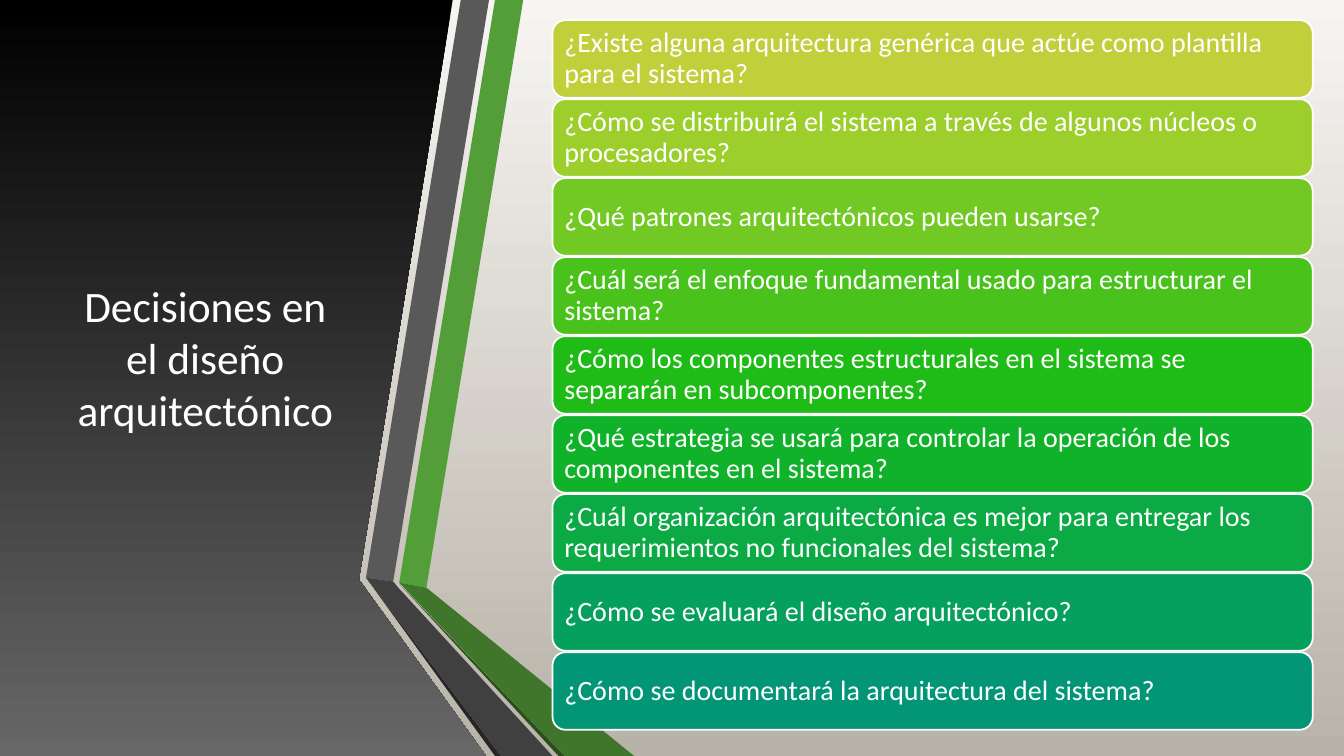
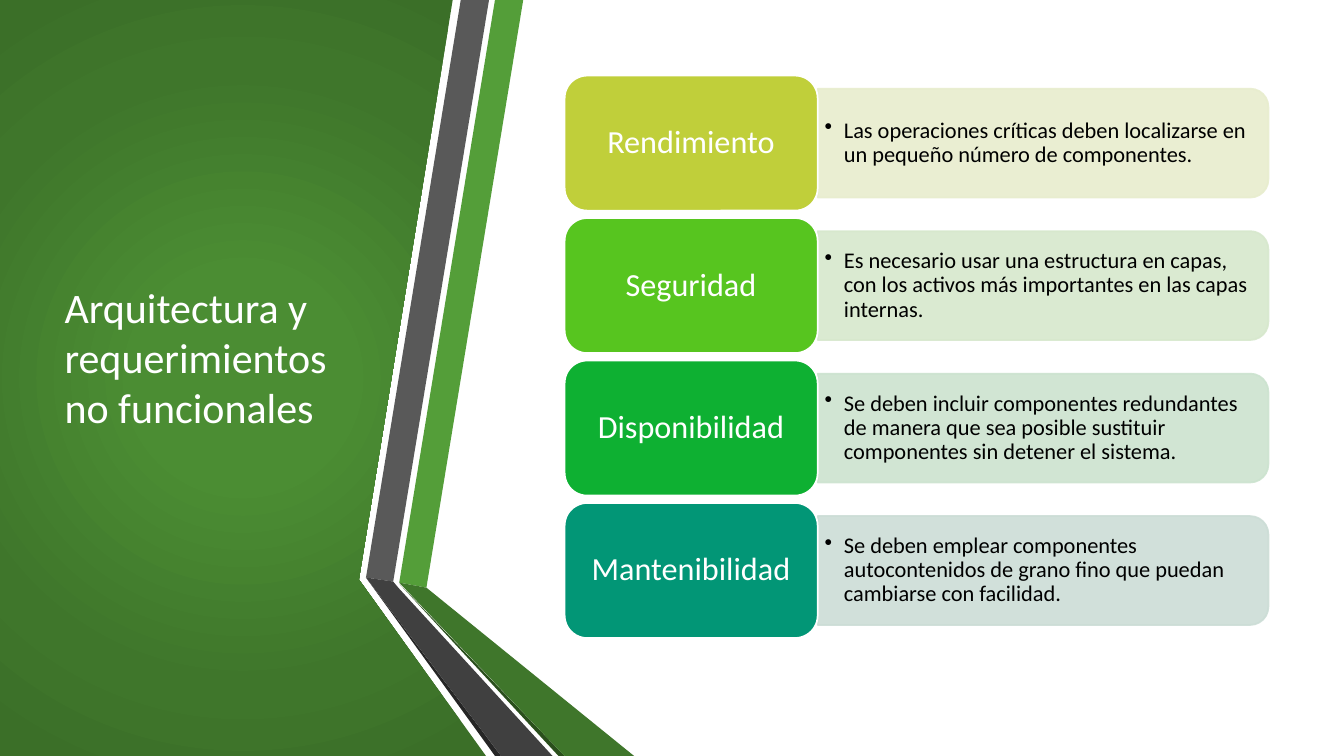
from lxml import etree
from pptx import Presentation
from pptx.dml.color import RGBColor
from pptx.enum import shapes, text
from pptx.oxml import ns
from pptx.util import Inches, Pt

FONT = "Calibri"
COLORS = {
    "white": "FFFFFF", "black": "000000", "panel_gray": "676767",
    "paper_top": "F7F5F2", "paper_bottom": "B8B3A8",
    "green": "549E39", "green_dark": "3F762B", "green_shade": "2A4F1C",
    "gray": "595959", "gray_dark": "404040", "gray_shade": "262626",
}
PANEL_OUTLINE = [(0, 0), (4.49, 0), (3.56, 5.75), (4.82, 7.5), (0, 7.5)]
PANEL_GLOW = [(0, "4B8D33"), (23, "4B8D33"), (69, "3F762B"), (97, "3B6F28")]
BANDS = [
    ("green", [(3.96, 5.78), (4.23, 5.83), (5.19, 0), (4.91, 0)]),
    ("gray", [(4.85, 0), (4.57, 0), (3.63, 5.73), (3.9, 5.77)]),
    ("gray_shade", [(3.63, 5.73), (4.91, 7.5), (4.97, 7.5)]),
    ("green_shade", [(3.96, 5.79), (5.54, 7.5), (5.6, 7.5)]),
    ("green_dark", [(3.96, 5.78), (5.6, 7.5), (6.29, 7.5), (4.23, 5.83)]),
    ("gray_dark", [(5.48, 7.5), (3.95, 5.83), (3.9, 5.77), (3.63, 5.73), (4.97, 7.5)]),
]
QUESTIONS = [
    ("C0CF3A", "¿Existe alguna arquitectura genérica que actúe como plantilla para el sistema?"),
    ("9CCF2B", "¿Cómo se distribuirá el sistema a través de algunos núcleos o procesadores?"),
    ("73C924", "¿Qué patrones arquitectónicos pueden usarse?"),
    ("49C21C", "¿Cuál será el enfoque fundamental usado para estructurar el sistema?"),
    ("1FBB16", "¿Cómo los componentes estructurales en el sistema se separarán en subcomponentes?"),
    ("10B229", "¿Qué estrategia se usará para controlar la operación de los componentes en el sistema?"),
    ("0BAA44", "¿Cuál organización arquitectónica es mejor para entregar los requerimientos "
               "no funcionales del sistema?"),
    ("06A05E", "¿Cómo se evaluará el diseño arquitectónico?"),
    ("029676", "¿Cómo se documentará la arquitectura del sistema?"),
]
REQUIREMENTS = [
    ("C0CF3A", "E8EDCE", "Rendimiento",
     "Las operaciones críticas deben localizarse en un pequeño número de componentes."),
    ("57C51F", "D7E8CD", "Seguridad",
     "Es necesario usar una estructura en capas, con los activos más importantes "
     "en las capas internas."),
    ("0EB032", "CCE3CF", "Disponibilidad",
     "Se deben incluir componentes redundantes de manera que sea posible sustituir "
     "componentes sin detener el sistema."),
    ("029676", "CCDDD6", "Mantenibilidad",
     "Se deben emplear componentes autocontenidos de grano fino que puedan cambiarse "
     "con facilidad."),
]


def rgb(color):
    return RGBColor.from_string(COLORS.get(color, color))


def fill_solid(fill, color):
    fill.solid()
    fill.fore_color.rgb = rgb(color)


def fill_vertical(fill, top, bottom):
    fill.gradient()
    fill.gradient_angle = 270
    for stop, color, position in zip(fill.gradient_stops, (top, bottom), (0, 1)):
        stop.color.rgb = rgb(color)
        stop.position = position


def fill_radial(shape, stops):
    """Fill with a circular gradient that runs outward from the centre."""
    shape.fill.gradient()
    gradient = shape.element.spPr.find(ns.qn("a:gradFill"))
    for child in list(gradient):
        gradient.remove(child)
    stop_list = etree.SubElement(gradient, ns.qn("a:gsLst"))
    for position, color in stops:
        stop = etree.SubElement(stop_list, ns.qn("a:gs"), pos=str(position * 1000))
        etree.SubElement(stop, ns.qn("a:srgbClr"), val=color)
    circle = etree.SubElement(gradient, ns.qn("a:path"), path="circle")
    etree.SubElement(circle, ns.qn("a:fillToRect"),
                     {side: "50000" for side in "ltrb"})


def set_line(shape, color):
    shape.line.width = Pt(1.25)
    shape.line.color.rgb = rgb(color)


def write_text(shape, content, size, color="white", align="LEFT", insets=(0.1, 0.05), spacing=0.9):
    frame = shape.text_frame
    frame.text = content
    horizontal, vertical = map(Inches, insets)
    frame_format = {
        "word_wrap": True, "auto_size": text.MSO_AUTO_SIZE.NONE,
        "vertical_anchor": text.MSO_ANCHOR.MIDDLE,
        "margin_left": horizontal, "margin_right": horizontal,
        "margin_top": vertical, "margin_bottom": vertical,
    }
    for name, value in frame_format.items():
        setattr(frame, name, value)
    paragraph = frame.paragraphs[0]
    paragraph.alignment = text.PP_ALIGN[align]
    paragraph.line_spacing = spacing
    font = paragraph.runs[0].font
    for name, value in {"name": FONT, "size": Pt(size), "bold": False}.items():
        setattr(font, name, value)
    font.color.rgb = rgb(color)
    return paragraph


def add_bullet(paragraph, indent):
    properties = paragraph._p.get_or_add_pPr()
    properties.set("marL", str(Inches(indent)))
    properties.set("indent", str(-Inches(indent)))
    etree.SubElement(properties, ns.qn("a:buChar"), char="•")


def add_outline(slide, points):
    corners = [(Inches(x), Inches(y)) for x, y in points]
    builder = slide.shapes.build_freeform(*corners[0])
    builder.add_line_segments(corners[1:], close=True)
    shape = builder.convert_to_shape()
    shape.shadow.inherit = False
    shape.line.fill.background()
    return shape


def add_box(slide, kind, box, color, line_color):
    shape = slide.shapes.add_shape(kind, *map(Inches, box))
    shape.shadow.inherit = False
    fill_solid(shape.fill, color)
    set_line(shape, line_color)
    return shape


def add_panel_slide(presentation, title, box, size, align):
    """Add a slide with the side panel, its title and the bands; return slide and panel."""
    slide = presentation.slides.add_slide(presentation.slide_layouts[5])
    panel = add_outline(slide, PANEL_OUTLINE)
    heading = slide.shapes.title
    heading.left, heading.top, heading.width, heading.height = map(Inches, box)
    write_text(heading, title, size, align=align, spacing=1.0)
    slide.shapes.element.append(heading.element)
    for color, points in BANDS:
        fill_solid(add_outline(slide, points).fill, color)
    return slide, panel


def add_question_list(slide, box):
    left, top, width, height = box
    row_height = 0.77
    step = (height - row_height) / (len(QUESTIONS) - 1)
    for row, (color, question) in enumerate(QUESTIONS):
        shape = add_box(slide, shapes.MSO_SHAPE.ROUNDED_RECTANGLE,
                        (left, top + row * step, width, row_height), color, "white")
        write_text(shape, question, 20, insets=(0.08, 0.08))


def add_detail_bar(slide, box, color, detail):
    """Add a bar rounded on its right side, with a bulleted text on it."""
    left, top, width, height = box
    turned = (left + (width - height) / 2, top + (height - width) / 2, height, width)
    bar = add_box(slide, shapes.MSO_SHAPE.ROUND_2_SAME_RECTANGLE, turned, color, color)
    bar.rotation = 90
    for color_element in bar.element.spPr.iter(ns.qn("a:srgbClr")):
        etree.SubElement(color_element, ns.qn("a:alpha"), val="90000")
    label = slide.shapes.add_textbox(*map(Inches, (left, top, width - 0.05, height)))
    paragraph = write_text(label, detail, 16, "black", insets=(0.07, 0.03))
    add_bullet(paragraph, 0.19)


def add_requirement_rows(slide, box):
    left, top, width, height = box
    name_width, row_height, bar_height = 2.51, 1.34, 1.08
    step = (height - row_height) / (len(REQUIREMENTS) - 1)
    for row, (color, tint, name, detail) in enumerate(REQUIREMENTS):
        y = top + row * step
        add_detail_bar(slide, (left + name_width, y + (row_height - bar_height) / 2,
                               width - name_width, bar_height), tint, detail)
        name_box = add_box(slide, shapes.MSO_SHAPE.ROUNDED_RECTANGLE,
                           (left, y, name_width, row_height), color, "white")
        write_text(name_box, name, 23, align="CENTER")


def add_decisions_slide(presentation):
    slide, panel = add_panel_slide(presentation, "Decisiones en el diseño arquitectónico",
                                   (0.59, 0.75, 2.89, 5.58), 31, "CENTER")
    fill_vertical(slide.background.fill, "paper_top", "paper_bottom")
    fill_vertical(panel.fill, "black", "panel_gray")
    add_question_list(slide, (5.48, 0.2, 7.54, 7.04))


def add_requirements_slide(presentation):
    slide, panel = add_panel_slide(presentation, "Arquitectura y requerimientos no funcionales",
                                   (0.54, 0.75, 3, 5.58), 30, "LEFT")
    fill_solid(slide.background.fill, "white")
    fill_radial(panel, PANEL_GLOW)
    add_requirement_rows(slide, (5.6, 0.75, 6.98, 5.58))


def main():
    presentation = Presentation()
    presentation.slide_width = Inches(13.33)
    presentation.slide_height = Inches(7.5)
    add_decisions_slide(presentation)
    add_requirements_slide(presentation)
    presentation.save("out.pptx")


if __name__ == "__main__":
    main()
